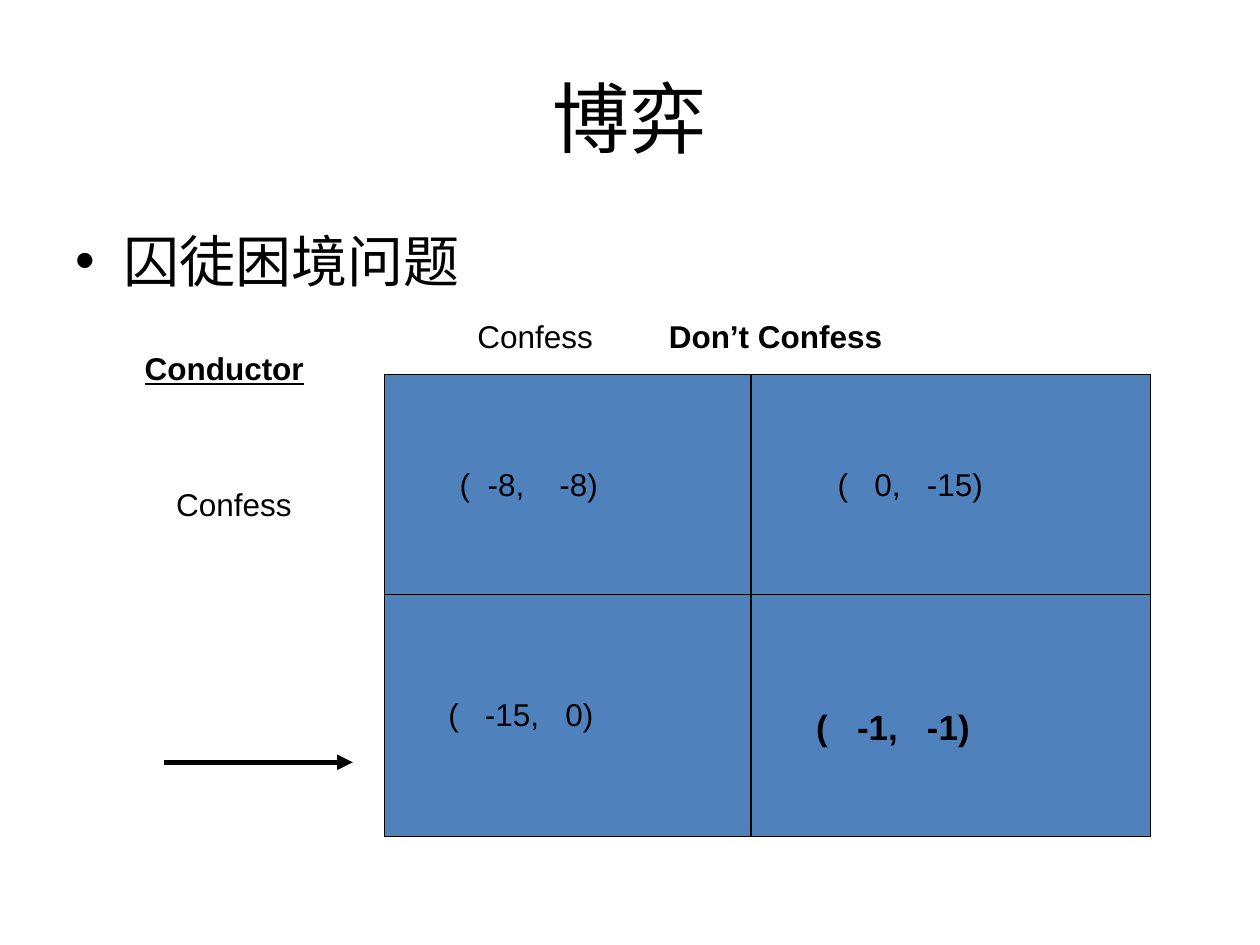
from lxml.etree import SubElement
from pptx import Presentation
from pptx.dml.color import RGBColor
from pptx.enum.shapes import MSO_CONNECTOR, MSO_SHAPE
from pptx.enum.text import MSO_ANCHOR, PP_ALIGN
from pptx.oxml.ns import qn
from pptx.util import Inches, Pt

BLACK = "000000"
BLUE = "4F81BD"

# Payoff matrix: outer edges and the two inner dividers
LEFT, TOP, RIGHT, BOTTOM = 3.05, 2.97, 9.13, 6.64
COLUMN_SPLIT, ROW_SPLIT = 5.96, 4.72


def color(value):
    return RGBColor.from_string(value)


def add_text(page, place, spans, size=18, font="Arial"):
    """Add a text box; each span is (text, bold, underline)."""
    box = page.shapes.add_textbox(*map(Inches, place))
    box.text_frame.word_wrap = True
    para = box.text_frame.paragraphs[0]
    for text, bold, underline in spans:
        span = para.add_run()
        span.text = text
        span.font.name = font
        span.font.size = Pt(size)
        span.font.bold = bold
        span.font.underline = underline
        span.font.color.rgb = color(BLACK)
    return box


def set_indent(para, margin, first_line):
    properties = para._p.get_or_add_pPr()
    properties.set("marL", str(Inches(margin)))
    properties.set("indent", str(Inches(first_line)))
    return properties


def add_bullet(para):
    properties = set_indent(para, 0.38, -0.38)
    SubElement(properties, qn("a:buFont"), typeface="Arial")
    SubElement(properties, qn("a:buChar"), char="•")


def add_line(page, start, end, width=0.75, arrow=False):
    line = page.shapes.add_connector(
        MSO_CONNECTOR.STRAIGHT, *map(Inches, (*start, *end)))
    line.line.color.rgb = color(BLACK)
    line.line.width = Pt(width)
    if arrow:
        SubElement(line.line._get_or_add_ln(), qn("a:tailEnd"), type="triangle")
    SubElement(line._element.spPr, qn("a:effectLst"))


def add_matrix(page):
    frame = page.shapes.add_shape(
        MSO_SHAPE.RECTANGLE,
        *map(Inches, (LEFT, TOP, RIGHT - LEFT, BOTTOM - TOP)))
    frame.shadow.inherit = False
    frame.fill.solid()
    frame.fill.fore_color.rgb = color(BLUE)
    frame.line.color.rgb = color(BLACK)
    frame.line.width = Pt(0.75)
    add_line(page, (COLUMN_SPLIT, TOP), (COLUMN_SPLIT, BOTTOM))
    add_line(page, (LEFT, ROW_SPLIT), (RIGHT, ROW_SPLIT))


def main():
    deck = Presentation()
    deck.slide_width, deck.slide_height = Inches(10), Inches(7.5)
    page = deck.slides.add_slide(deck.slide_layouts[6])

    # Title and bullet
    title = add_text(page, (0.5, 0.3, 9, 1.25), [("博弈", False, False)],
                     44, "Calibri")
    title.text_frame.vertical_anchor = MSO_ANCHOR.MIDDLE
    title.text_frame.paragraphs[0].alignment = PP_ALIGN.CENTER
    body = add_text(page, (0.5, 1.75, 9, 4.95),
                    [("囚徒困境问题", False, False)], 32, "Calibri")
    add_bullet(body.text_frame.paragraphs[0])

    add_matrix(page)

    # Column headings, set apart by the default one-inch tab stops
    headings = add_text(page, (3.21, 2.47, 5.58, 0.4),
                        [("Confess\t\t", False, False),
                         ("Don’t Confess", True, False)])
    set_indent(headings.text_frame.paragraphs[0], 0, 0.48)

    # Row labels and payoffs: text, place, size, bold, underline
    labels = [
        ("Conductor", (1.05, 2.72, 1.58, 0.4), 18, True, True),
        ("Confess", (1.3, 3.8, 1.5, 0.4), 18, False, False),
        ("(  -8,    -8)", (3.55, 3.64, 1.75, 0.4), 18, False, False),
        ("(   -15,   0)", (3.46, 5.47, 1.83, 0.4), 18, False, False),
        ("(   0,   -15)", (6.55, 3.64, 1.83, 0.4), 18, False, False),
        ("(   -1,   -1)", (6.38, 5.55, 1.83, 0.43), 20, True, False),
    ]
    for text, place, size, bold, underline in labels:
        add_text(page, place, [(text, bold, underline)], size)

    # Arrow to the second row
    add_line(page, (1.3, 6.05), (2.8, 6.05), width=3, arrow=True)

    deck.save("out.pptx")


if __name__ == "__main__":
    main()
